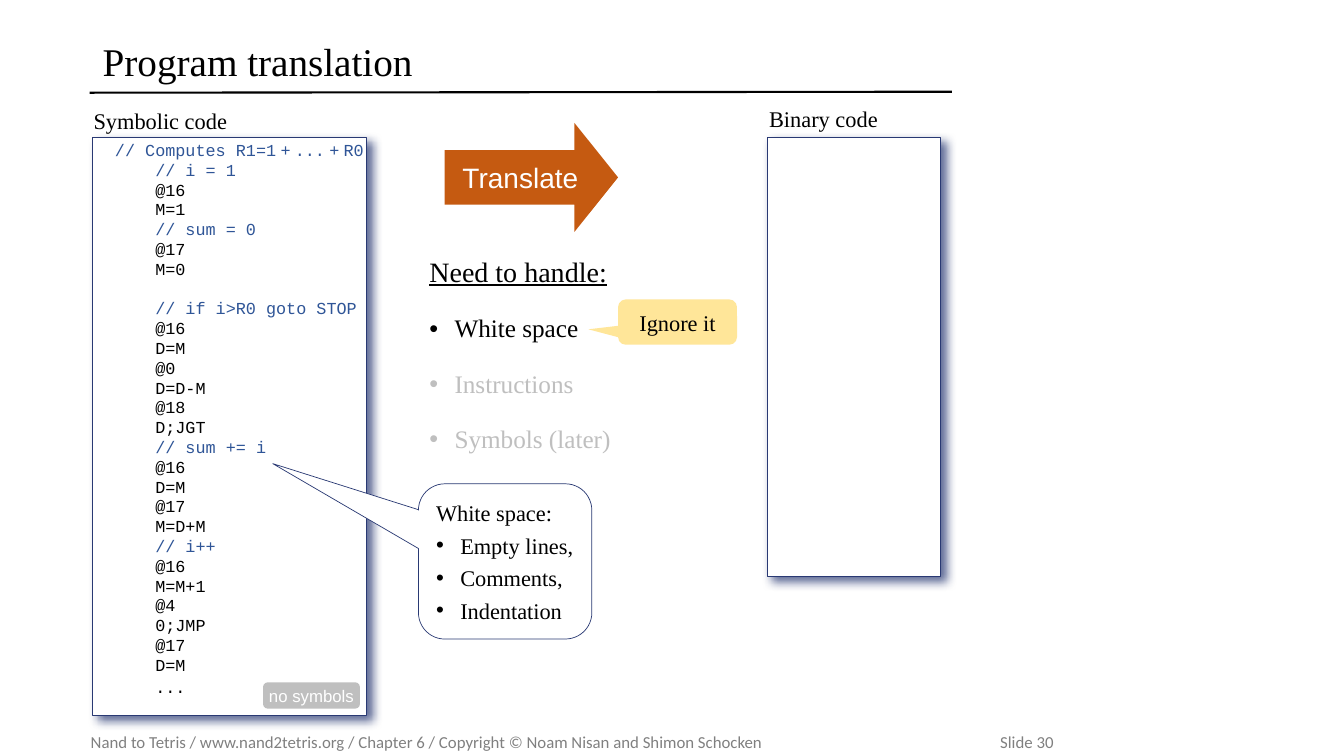
from dataclasses import dataclass
from typing import Optional

import pptx
import pptx.dml.color
import pptx.enum.shapes
import pptx.enum.text
import pptx.oxml
import pptx.oxml.ns
import pptx.util

EMU_PER_PX = 9144  # 100 px to the inch
SHAPE = pptx.enum.shapes.MSO_SHAPE
ALIGN = pptx.enum.text.PP_ALIGN
ANCHOR = pptx.enum.text.MSO_ANCHOR
SERIF, SANS, MONO, FOOT = "Times New Roman", "Arial", "Courier New", "Calibri"
COLORS = {
    "black": "000000", "white": "FFFFFF", "navy": "293973", "comment": "2F5597",
    "orange": "C55A11", "yellow": "FFE699", "silver": "BFBFBF", "grey": "808080",
}
CODE = """\
// Computes R1=1 + ... + R0
    // i = 1
    @16
    M=1
    // sum = 0
    @17
    M=0

    // if i>R0 goto STOP
    @16
    D=M
    @0
    D=D-M
    @18
    D;JGT
    // sum += i
    @16
    D=M
    @17
    M=D+M
    // i++
    @16
    M=M+1
    @4
    0;JMP
    @17
    D=M
    ..."""


@dataclass
class Box:
    at: tuple[int, int, int, int]
    kind: Optional[SHAPE] = None  # None makes a plain text box
    fill: str = "white"
    line: Optional[str] = None
    weight: float = 0.75
    adj: tuple[float, ...] = ()
    shadow: bool = False
    inset: tuple[int, int, int, int] = (10, 5, 10, 5)
    anchor: ANCHOR = ANCHOR.MIDDLE
    wrap: bool = True


def px(n: int) -> int:
    return pptx.util.Emu(n * EMU_PER_PX)


def rgb(name: str) -> pptx.dml.color.RGBColor:
    return pptx.dml.color.RGBColor.from_string(COLORS[name])


def add_xml(parent, xml: str) -> None:
    ns = pptx.oxml.ns.nsdecls("a")
    parent.append(pptx.oxml.parse_xml(xml.replace(" ", f" {ns} ", 1)))


def add_box(slide, box: Box):
    """Draw a box and return its text frame."""
    at = [px(n) for n in box.at]
    if box.kind is None:
        sp = slide.shapes.add_textbox(*at)
    else:
        sp = slide.shapes.add_shape(box.kind, *at)
        for i, value in enumerate(box.adj):
            sp.adjustments[i] = value
        sp.fill.solid()
        sp.fill.fore_color.rgb = rgb(box.fill)
        if box.line:
            sp.line.color.rgb = rgb(box.line)
            sp.line.width = pptx.util.Pt(box.weight)
        else:
            sp.line.fill.background()
        sp.shadow.inherit = False
        if box.shadow:
            effects = sp._element.spPr.find(pptx.oxml.ns.qn("a:effectLst"))
            add_xml(effects, '<a:outerShdw blurRad="90170" dist="63500" dir="2700000" '
                    f'algn="tl" rotWithShape="0"><a:srgbClr val="{COLORS["navy"]}">'
                    '<a:alpha val="75000"/></a:srgbClr></a:outerShdw>')
    tf = sp.text_frame
    tf.word_wrap = box.wrap
    tf.vertical_anchor = box.anchor
    tf.margin_left, tf.margin_top, tf.margin_right, tf.margin_bottom = map(px, box.inset)
    return tf


def add_text(tf, text: str, *, size: int = 16, font: str = SERIF, color: str = "black",
             align: ALIGN = ALIGN.LEFT, before: float = 0, spacing: float = 1,
             underline: bool = False, bullet: int = 0, tab: int = 0,
             space_font: Optional[str] = None) -> None:
    """Add a paragraph; bullet is its hanging indent and tab its stop, in px."""
    p = tf.paragraphs[0]
    first = not p.runs
    if not first:
        p = tf.add_paragraph()
    pPr = p._p.get_or_add_pPr()
    if bullet:
        pPr.set("marL", str(px(bullet)))
        pPr.set("indent", str(-px(bullet)))
        add_xml(pPr, '<a:buFont typeface="Arial"/>')
        add_xml(pPr, '<a:buChar char="•"/>')
    if tab:
        add_xml(pPr, f'<a:tabLst ><a:tab pos="{px(tab)}" algn="l"/></a:tabLst>')
    p.alignment = align
    p.line_spacing = spacing
    p.space_before = pptx.util.Pt(0 if first else before)
    # A separate space font narrows the gaps around the operators
    head, mark, tail = text.partition("=1 ") if space_font else (text, "", "")
    pieces = [(head + mark.rstrip(), font)]
    if tail:
        for word in tail.split(" "):
            pieces += [(" ", space_font), (word, font)]
    for piece, face in pieces:
        r = p.add_run()
        r.text = piece
        r.font.size = pptx.util.Pt(size)
        r.font.name = face
        r.font.underline = underline
        r.font.color.rgb = rgb(color)


def add_code(tf) -> None:
    gap, blank_line = 1.2, 14.1
    before = gap
    for line in CODE.splitlines():
        if not line:
            before += blank_line
            continue
        comment = line.lstrip().startswith("//")
        add_text(tf, line, size=12, font=MONO, color="comment" if comment else "black",
                 before=before, spacing=1 if line.endswith("    ...") else 0.9,
                 space_font=SERIF if "Computes" in line else None)
        before = gap


def main() -> None:
    prs = pptx.Presentation()
    prs.slide_width, prs.slide_height = px(1333), px(750)
    slide = prs.slides.add_slide(prs.slide_layouts[6])

    # Footer, title and rule
    tf = add_box(slide, Box((90, 721, 1225, 30), inset=(0, 5, 0, 5)))
    add_text(tf, "Nand to Tetris / www.nand2tetris.org / Chapter 6 / "
             "Copyright © Noam Nisan and Shimon Schocken\tSlide 30",
             size=12, font=FOOT, color="grey", tab=902)
    tf = add_box(slide, Box((92, 32, 853, 63)))
    add_text(tf, "Program translation", size=28, spacing=0.9)
    rule = slide.shapes.add_connector(pptx.enum.shapes.MSO_CONNECTOR.STRAIGHT,
                                      px(89), px(92), px(944), px(91))
    rule.line.color.rgb = rgb("black")
    rule.line.width = pptx.util.Pt(1.5)
    add_xml(rule._element.spPr, "<a:effectLst />")

    # Topics to handle
    tf = add_box(slide, Box((416, 251, 321, 229), anchor=ANCHOR.TOP))
    add_text(tf, "Need to handle:", size=20, spacing=0.9, underline=True)
    for topic, color in (("White space", "black"), ("Instructions", "silver"),
                         ("Symbols (later)", "silver")):
        add_text(tf, topic, size=18, color=color, before=20, spacing=0.9, bullet=25)

    # Translation arrow
    tf = add_box(slide, Box((441, 122, 172, 108), SHAPE.RIGHT_ARROW, "orange",
                            adj=(0.5, 0.4), wrap=False))
    add_text(tf, "Translate", size=20, font=SANS, color="white", align=ALIGN.CENTER)

    # Code panels and their labels
    panel = dict(kind=SHAPE.RECTANGLE, line="navy", shadow=True, anchor=ANCHOR.TOP)
    add_box(slide, Box((761, 136, 172, 436), **panel))
    add_code(add_box(slide, Box((92, 136, 272, 574), inset=(22, 5, 0, 5), **panel)))
    for label, at in (("Binary code", (753, 99, 181, 42)),
                      ("Symbolic code", (83, 101, 293, 42))):
        add_text(add_box(slide, Box(at, anchor=ANCHOR.TOP)), label)

    # Callouts and tag
    callout = SHAPE.ROUNDED_RECTANGULAR_CALLOUT
    tf = add_box(slide, Box((613, 297, 118, 45), callout, "yellow",
                            adj=(-0.75, 0.16, 0.17), inset=(0, 5, 0, 5)))
    add_text(tf, "Ignore it", align=ALIGN.CENTER)
    tf = add_box(slide, Box((261, 677, 96, 26), SHAPE.ROUNDED_RECTANGLE, "silver",
                            inset=(0, 5, 0, 5)))
    add_text(tf, "no symbols", size=12, font=SANS, color="white", align=ALIGN.CENTER)
    tf = add_box(slide, Box((415, 480, 172, 154), callout, line="navy", weight=0.5,
                            adj=(-1.34, -0.63, 0.17), inset=(10, 5, 0, 5)))
    add_text(tf, "White space:")
    for item in ("Empty lines,", "Comments,", "Indentation"):
        add_text(tf, item, before=4, bullet=24)

    prs.save("out.pptx")


if __name__ == "__main__":
    main()
